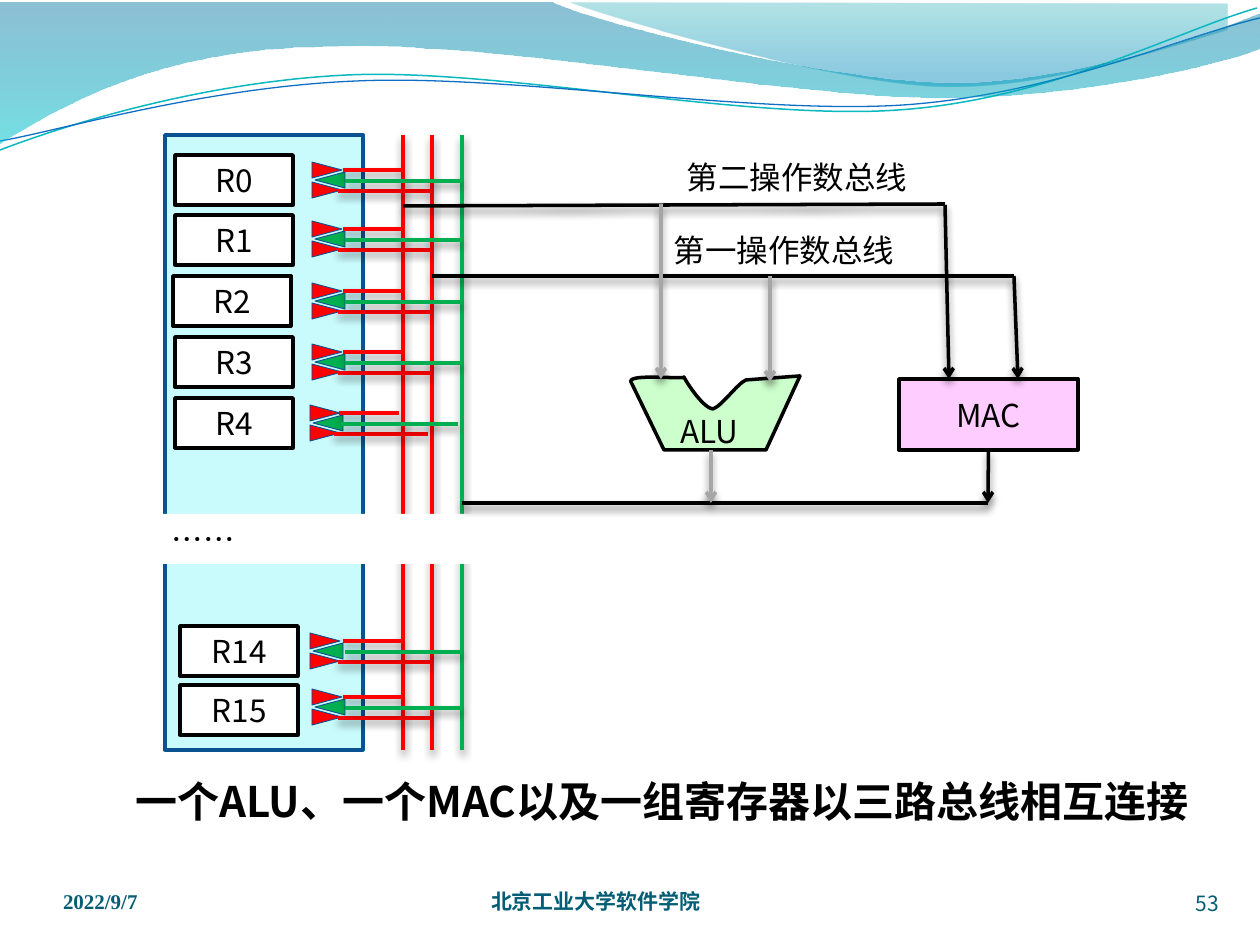
from pptx import Presentation, util as u
from pptx.dml.color import RGBColor
from pptx.enum import shapes, text
from pptx.oxml import ns, xmlchemy

NOTO, ARIAL, TIMES = "Noto Sans CJK SC", "Arial", "Times New Roman"
BLACK = RGBColor(0x00, 0x00, 0x00)
WHITE = RGBColor(0xFF, 0xFF, 0xFF)
RED = RGBColor(0xFF, 0x00, 0x00)
GREEN = RGBColor(0x00, 0xB0, 0x50)
GREY = RGBColor(0xA6, 0xA6, 0xA6)
NAVY = RGBColor(0x0B, 0x52, 0x92)
CYAN = RGBColor(0xC9, 0xFA, 0xFC)
MINT = RGBColor(0xCC, 0xFF, 0xCC)
PINK = RGBColor(0xFF, 0xCC, 0xFF)
FOOTER = RGBColor(0x04, 0x5D, 0x75)
TEAL_LINE = RGBColor(0x0A, 0xB8, 0xBF)
BLUE_LINE = RGBColor(0x0F, 0x6F, 0xC6)
# colour, position, opacity in percent
SHEEN = [(RGBColor(0x00, 0xA1, 0xA9), 0, 30), (RGBColor(0x00, 0x8B, 0xBF), 0.8, 45)]
BAND = [(RGBColor(0x00, 0x74, 0xA1), 0, 45), (RGBColor(0x00, 0xC6, 0xCF), 1, 55)]

LEFT, CENTER, RIGHT = text.PP_ALIGN.LEFT, text.PP_ALIGN.CENTER, text.PP_ALIGN.RIGHT
TOP, MIDDLE, BOTTOM = text.MSO_ANCHOR.TOP, text.MSO_ANCHOR.MIDDLE, text.MSO_ANCHOR.BOTTOM
RECT, TRIANGLE = shapes.MSO_SHAPE.RECTANGLE, shapes.MSO_SHAPE.ISOSCELES_TRIANGLE
BUS_X = {"second": 403, "first": 432, "result": 462}

# name, box left, box top, centre y of the ports, shift of the ports, shift of the wires
REGISTERS = [
    ("R0", 175, 155, 180, 0, 0), ("R1", 175, 215, 239, 0, 0), ("R2", 173, 276, 301, 0, 0),
    ("R3", 175, 337, 362, 0, 0), ("R4", 175, 398, 423, -2, -4),
    ("R14", 180, 626, 651, -2, 0), ("R15", 180, 685, 707, 0, 0),
]


def px(n):
    return round(n * 914400 / 126)


def child(parent, tag, **attrs):
    el = xmlchemy.OxmlElement(tag)
    for name, value in attrs.items():
        el.set(name, value)
    parent.append(el)
    return el


def paint(sp, fill=None, line=None, width=2):
    sp.shadow.inherit = False
    if fill is None:
        sp.fill.background()
    else:
        sp.fill.solid()
        sp.fill.fore_color.rgb = fill
    if line is None:
        sp.line.fill.background()
    else:
        sp.line.color.rgb = line
        sp.line.width = u.Pt(width)


def paint_gradient(sp, stops):
    """Fill from top to bottom with two translucent colours."""
    paint(sp)
    sp.fill.gradient()
    sp.fill.gradient_angle = 270
    for stop, (color, position, opacity) in zip(sp.fill.gradient_stops, stops):
        stop.color.rgb = color
        stop.position = position
        for clr in stop.color._xFill.iter(ns.qn("a:srgbClr")):
            child(clr, "a:alpha", val=str(opacity * 1000))


def write(sp, words, size=18, font=NOTO, color=BLACK, bold=False, align=CENTER, **frame):
    tf = sp.text_frame
    for name, value in {"word_wrap": True, "vertical_anchor": MIDDLE, **frame}.items():
        setattr(tf, name, value)
    p = tf.paragraphs[0]
    p.alignment = align
    r = p.add_run()
    r.text = words
    for name, value in {"size": u.Pt(size), "name": font, "bold": bold}.items():
        setattr(r.font, name, value)
    r.font.color.rgb = color
    child(r._r.get_or_add_rPr(), "a:ea", typeface=NOTO)


def add_label(s, box, words, **fmt):
    write(s.shapes.add_textbox(*map(px, box)), words, **fmt)


def add_block(s, box, fill, line=None, width=2, kind=RECT, rotation=0):
    sp = s.shapes.add_shape(kind, *map(px, box))
    sp.rotation = rotation
    paint(sp, fill, line, width)
    return sp


def add_wire(s, start, end, color=BLACK, arrow=False):
    c = s.shapes.add_connector(shapes.MSO_CONNECTOR.STRAIGHT, *map(px, start + end))
    c.line.color.rgb = color
    c.line.width = u.Pt(2)
    if arrow:
        child(c.line._get_or_add_ln(), "a:tailEnd", type="arrow")
    effects = child(c._element.spPr, "a:effectLst")
    shadow = child(effects, "a:outerShdw", blurRad=str(u.Pt(4.5)), dist=str(u.Pt(3)),
                   dir="5400000", rotWithShape="0")
    child(child(shadow, "a:srgbClr", val=str(BLACK)), "a:alpha", val="48000")
    return c


def add_outline(s, start, *segments, close=True):
    """Draw segments of one point (straight) or three points (cubic curve)."""
    points = [(px(x), px(y)) for seg in segments for x, y in seg]
    builder = s.shapes.build_freeform(*map(px, start))
    builder.add_line_segments(points, close=close)
    sp = builder.convert_to_shape()
    lines = iter(list(sp._element.iter(ns.qn("a:lnTo"))))
    for seg in segments:
        steps = [next(lines) for _ in seg]
        if len(seg) == 3:
            curve = xmlchemy.OxmlElement("a:cubicBezTo")
            steps[0].addprevious(curve)
            for step in steps:
                curve.append(step[0])
                step.getparent().remove(step)
    return sp


def add_waves(s):
    sheen = add_outline(
        s, (571, 3), [(609, 18), (827, 81), (935, 86)],
        [(1045, 91), (1178, 44), (1227, 30)], [(1227, 4)])
    paint_gradient(sheen, SHEEN)
    ripples = s.shapes.add_group_shape()
    teal = add_outline(
        ripples, (0, 150), [(60, 127), (199, 82), (348, 75)],
        [(498, 68), (746, 121), (898, 110)], [(1050, 100), (1182, 29), (1257, 8)], close=False)
    paint(teal, line=TEAL_LINE, width=0.85)
    blue = add_outline(
        ripples, (0, 141), [(59, 131), (205, 87), (357, 81)],
        [(507, 74), (752, 115), (903, 105)], [(1053, 95), (1186, 35), (1260, 18)], close=False)
    paint(blue, line=BLUE_LINE, width=0.75)
    band = add_outline(
        s, (-1, 3), [(553, 3)], [(599, 24), (834, 83), (954, 83)],
        [(1074, 83), (1206, 35), (1259, 14)], [(1260, 49)],
        [(1237, 59), (1095, 98), (939, 98)], [(782, 98), (480, 39), (323, 47)],
        [(161, 48), (57, 108), (-3, 146)])
    paint_gradient(band, BAND)


def add_footer(s):
    fmt = dict(size=12, color=FOOTER, vertical_anchor=BOTTOM,
               margin_left=0, margin_right=0, margin_top=0, margin_bottom=0)
    add_label(s, (63, 868, 294, 46), "2022/9/7", font=TIMES, bold=True, align=LEFT, **fmt)
    add_label(s, (491, 868, 462, 46), "北京工业大学软件学院", bold=True, align=LEFT, **fmt)
    add_label(s, (1114, 870, 105, 46), "53", align=RIGHT, **fmt)


def add_register(s, name, left, top, y, port_dx, wire_dx):
    write(add_block(s, (left, top, 118, 50), WHITE, BLACK), name)
    ports = s.shapes.add_group_shape()
    for x, dy, color, rotation in [(327, -10, RED, 90), (327, 10, RED, 90), (330, 0, GREEN, 270)]:
        add_block(ports, (x + port_dx - 8, y + dy - 15, 16, 30), color, NAVY, 0.5,
                  TRIANGLE, rotation)
    for x, dy, color, bus in [(343, -10, RED, "second"), (338, 11, RED, "first"),
                              (345, 1, GREEN, "result")]:
        add_wire(s, (x + wire_dx, y + dy), (BUS_X[bus] + wire_dx, y + dy), color)


def add_units(s):
    """Draw the ALU and the MAC with their operand and result lines."""
    alu = add_outline(
        s, (631, 382), [(627, 373), (687, 380), (684, 377)],
        [(684, 378), (702, 408), (713, 409)], [(722, 406), (737, 384), (746, 380)],
        [(800, 376)], [(766, 450)], [(664, 450)])
    paint(alu, MINT, BLACK)
    write(alu, "ALU", vertical_anchor=BOTTOM, margin_bottom=0, margin_right=px(20))
    mac = add_block(s, (899, 379, 179, 71), PINK, BLACK)
    write(mac, "MAC")

    add_wire(s, (BUS_X["second"], 206), (945, 204))
    add_wire(s, (945, 205), (949, 379), arrow=True)
    add_wire(s, (BUS_X["first"], 276), (1014, 276))
    add_wire(s, (1014, 276), (1018, 379), arrow=True)
    add_wire(s, (661, 204), (661, 379), GREY, arrow=True)
    add_wire(s, (770, 276), (770, 382), GREY, arrow=True)
    add_wire(s, (BUS_X["result"], 503), (988, 503))
    add_wire(s, (988, 450), (988, 503), arrow=True).begin_connect(mac, 2)
    add_wire(s, (711, 450), (711, 503), GREY, arrow=True)


def main():
    prs = Presentation()
    prs.slide_width, prs.slide_height = px(1260), px(945)
    s = prs.slides.add_slide(prs.slide_layouts[6])
    add_waves(s)
    add_footer(s)
    add_block(s, (165, 135, 198, 615), CYAN, NAVY)
    add_label(s, (123, 769, 1134, 49), "一个ALU、一个MAC以及一组寄存器以三路总线相互连接",
              size=24, bold=True, align=LEFT, vertical_anchor=TOP)
    for bus, color in [("second", RED), ("first", RED), ("result", GREEN)]:
        add_wire(s, (BUS_X[bus], 135), (BUS_X[bus], 750), color)
    for register in REGISTERS:
        add_register(s, *register)
    gap = add_block(s, (145, 514, 338, 50), WHITE)
    write(gap, "……", align=LEFT, margin_left=px(27))
    add_units(s)
    for box, words in [((660, 225, 248, 50), "第一操作数总线"), ((673, 152, 248, 50), "第二操作数总线")]:
        add_label(s, box, words, font=ARIAL, word_wrap=False)
    prs.save("out.pptx")


if __name__ == "__main__":
    main()
